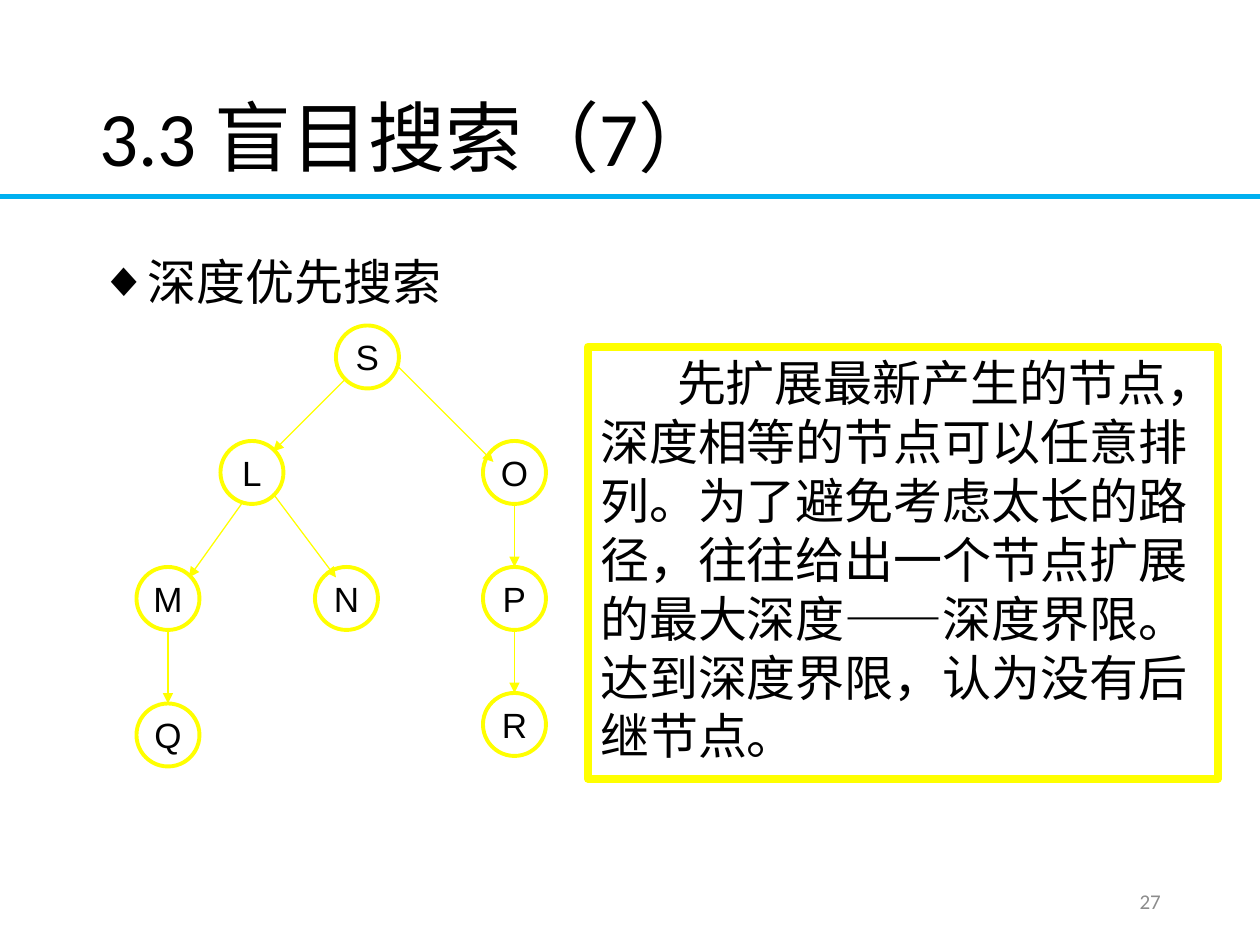
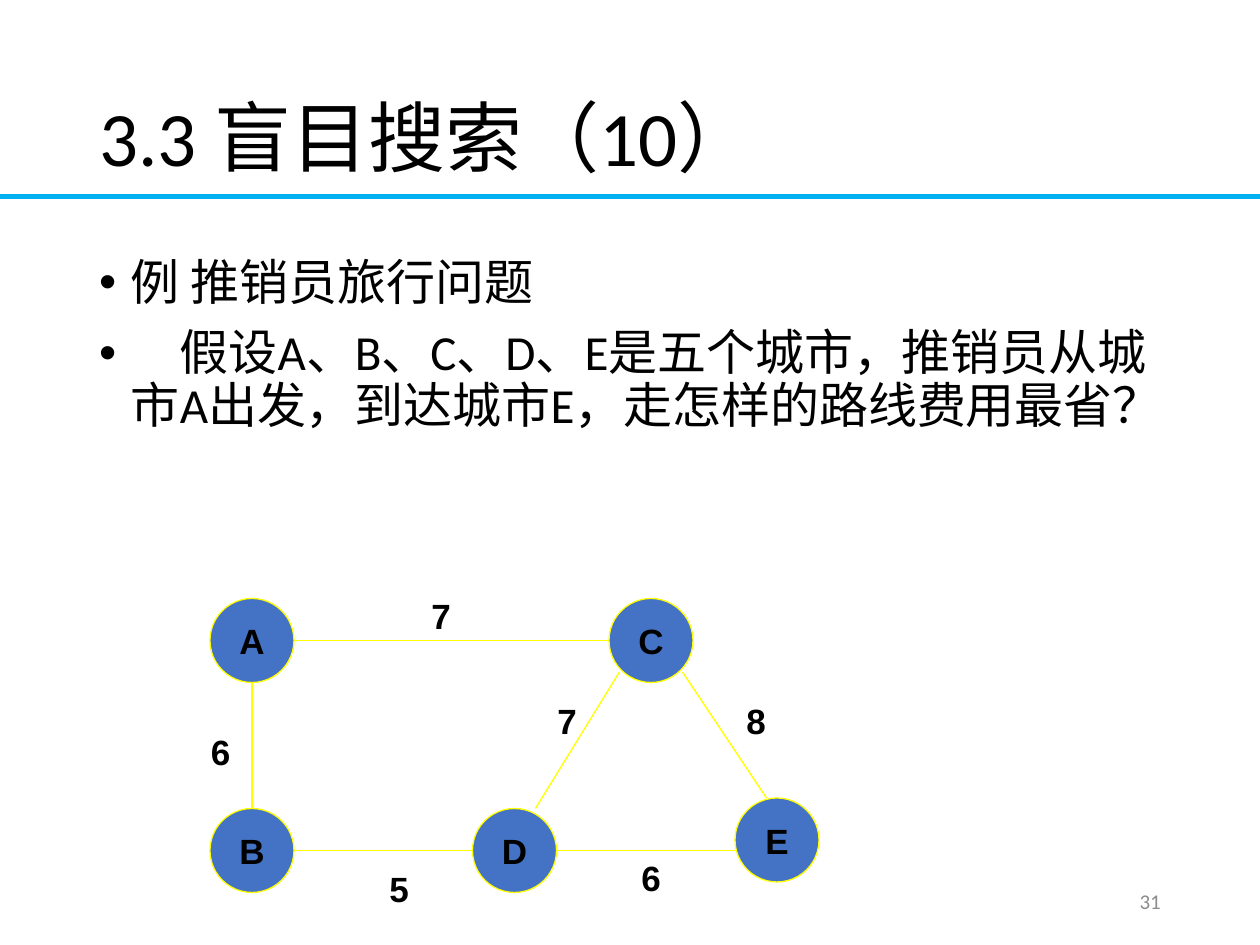
from lxml import etree
from pptx import Presentation
from pptx.dml.color import RGBColor
from pptx.enum.shapes import MSO_CONNECTOR, MSO_SHAPE
from pptx.enum.text import MSO_ANCHOR, PP_ALIGN
from pptx.oxml.ns import qn
from pptx.util import Cm, Pt

STRAIGHT = MSO_CONNECTOR.STRAIGHT
OVAL, RECT = MSO_SHAPE.OVAL, MSO_SHAPE.RECTANGLE
MIDDLE, TOP = MSO_ANCHOR.MIDDLE, MSO_ANCHOR.TOP
LEFT, CENTER, RIGHT = PP_ALIGN.LEFT, PP_ALIGN.CENTER, PP_ALIGN.RIGHT

COLORS = {"rule": "00B0F0", "text": "000000", "number": "8C8C8C",
          "yellow": "FFFF00", "city": "4472C4"}
GRID = 25.4 / 120  # cm per step: the slide is 120 steps wide

# Text formats
TITLE = {"name": "Calibri", "size": Pt(44)}
BODY = {"name": "Calibri", "size": Pt(28)}
NUMBER = {"name": "Calibri", "size": Pt(12)}
NODE = {"name": "Arial", "size": Pt(20)}
CITY = {"name": "Arial", "size": Pt(20), "bold": True}
NOTE = {"name": "Arial", "size": Pt(28)}


def write(sp, lines, fmt, color="text", align=LEFT, anchor=TOP, wrap=True,
          spacing=None, bullet=None):
    tf = sp.text_frame
    tf.word_wrap, tf.vertical_anchor = wrap, anchor
    for i, line in enumerate(lines):
        p = tf.add_paragraph() if i else tf.paragraphs[0]
        p.alignment, p.line_spacing = align, spacing
        if i:
            p.space_before = Pt(10)
        if bullet:
            pPr = p._p.get_or_add_pPr()
            pPr.set("marL", str(Cm(0.64)))
            pPr.set("indent", str(-Cm(0.64)))
            etree.SubElement(pPr, qn("a:buFont"), typeface="Arial")
            etree.SubElement(pPr, qn("a:buChar"), char=bullet)
        r = p.add_run()
        r.text = line
        for key, value in fmt.items():
            setattr(r.font, key, value)
        r.font.color.rgb = RGBColor.from_string(COLORS[color])


def add_line(s, ends, color, width, arrow=False):
    c = s.shapes.add_connector(STRAIGHT, *[Cm(v * GRID) for v in ends])
    c.line.color.rgb = RGBColor.from_string(COLORS[color])
    c.line.width = Pt(width)
    spPr = c._element.spPr
    if arrow:
        etree.SubElement(spPr.find(qn("a:ln")), qn("a:tailEnd"), type="triangle")
    etree.SubElement(spPr, qn("a:effectLst"))


pages = [
    {"title": "3.3 盲目搜索（7）", "number": "27", "bullet": "◆", "body_height": 1.93,
     "body": ["深度优先搜索"],
     "size": 6, "fill": None, "outline": 2.25, "font": NODE, "arrow": True,
     "nodes": [("S", 32, 31), ("O", 46, 42), ("L", 21, 42), ("M", 13, 54),
               ("N", 30, 54), ("Q", 13, 67), ("P", 46, 54), ("R", 46, 66)],
     "edges": [(33, 36, 26, 43), (23, 48, 18, 55), (16, 60, 16, 67),
               (26, 47, 32, 55), (38, 35, 47, 44), (49, 48, 49, 54),
               (49, 60, 49, 66)],
     "costs": []},
    {"title": "3.3 盲目搜索（10）", "number": "31", "bullet": "•", "body_height": 5.23,
     "body": ["例 推销员旅行问题",
              "　假设A、B、C、D、E是五个城市，推销员从城市A出发，"
              "到达城市E，走怎样的路线费用最省？"],
     "size": 8, "fill": "city", "outline": 0.75, "font": CITY, "arrow": False,
     "nodes": [("A", 20, 57), ("C", 58, 57), ("B", 20, 77), ("D", 45, 77),
               ("E", 70, 76)],
     "edges": [(24, 65, 24, 77), (28, 61, 58, 61), (28, 81, 45, 81),
               (53, 81, 70, 81), (59, 64, 51, 77), (65, 64, 73, 76)],
     "costs": [("7", 37, 56), ("6", 16, 69), ("5", 33, 82), ("7", 49, 66),
               ("8", 67, 66), ("6", 57, 81)]},
]

prs = Presentation()
prs.slide_width, prs.slide_height = Cm(25.4), Cm(19.05)

for page in pages:
    s = prs.slides.add_slide(prs.slide_layouts[6])

    # Rule, title, body and slide number
    add_line(s, (0, 18.7, 120, 18.7), "rule", 3)
    sp = s.shapes.add_textbox(Cm(1.75), Cm(1.02), Cm(21.9), Cm(3.68))
    write(sp, [page["title"]], TITLE, anchor=MIDDLE, spacing=0.9)
    sp = s.shapes.add_textbox(Cm(1.75), Cm(5.08), Cm(21.9), Cm(page["body_height"]))
    write(sp, page["body"], BODY, spacing=0.9, bullet=page["bullet"])
    sp = s.shapes.add_textbox(Cm(17.93), Cm(17.65), Cm(5.72), Cm(1.02))
    write(sp, [page["number"]], NUMBER, "number", RIGHT, MIDDLE)

    # Graph nodes
    side = Cm(page["size"] * GRID)
    for name, x, y in page["nodes"]:
        sp = s.shapes.add_shape(OVAL, Cm(x * GRID), Cm(y * GRID), side, side)
        sp.shadow.inherit = False
        if page["fill"]:
            sp.fill.solid()
            sp.fill.fore_color.rgb = RGBColor.from_string(COLORS[page["fill"]])
        else:
            sp.fill.background()
        sp.line.color.rgb = RGBColor.from_string(COLORS["yellow"])
        sp.line.width = Pt(page["outline"])
        write(sp, [name], page["font"], align=CENTER, anchor=MIDDLE, wrap=False)

    # Graph edges and their costs
    for ends in page["edges"]:
        add_line(s, ends, "yellow", 0.75, page["arrow"])
    for cost, x, y in page["costs"]:
        sp = s.shapes.add_textbox(Cm(x * GRID), Cm(y * GRID), Cm(2.12), Cm(1.1))
        write(sp, [cost], CITY, align=CENTER)

# Framed explanation on the first slide
s = prs.slides[0]
sp = s.shapes.add_shape(RECT, Cm(11.85), Cm(6.99), Cm(12.7), Cm(8.71))
sp.shadow.inherit = False
sp.fill.background()
sp.line.color.rgb = RGBColor.from_string(COLORS["yellow"])
sp.line.width = Pt(4.5)
write(sp, ["先扩展最新产生的节点，深度相等的节点可以任意排列。为了避免考虑太长的路径，"
           "往往给出一个节点扩展的最大深度——深度界限。达到深度界限，认为没有后继节点。"], NOTE)
sp.text_frame.paragraphs[0]._p.get_or_add_pPr().set("indent", str(Cm(1.55)))

prs.save("out.pptx")
